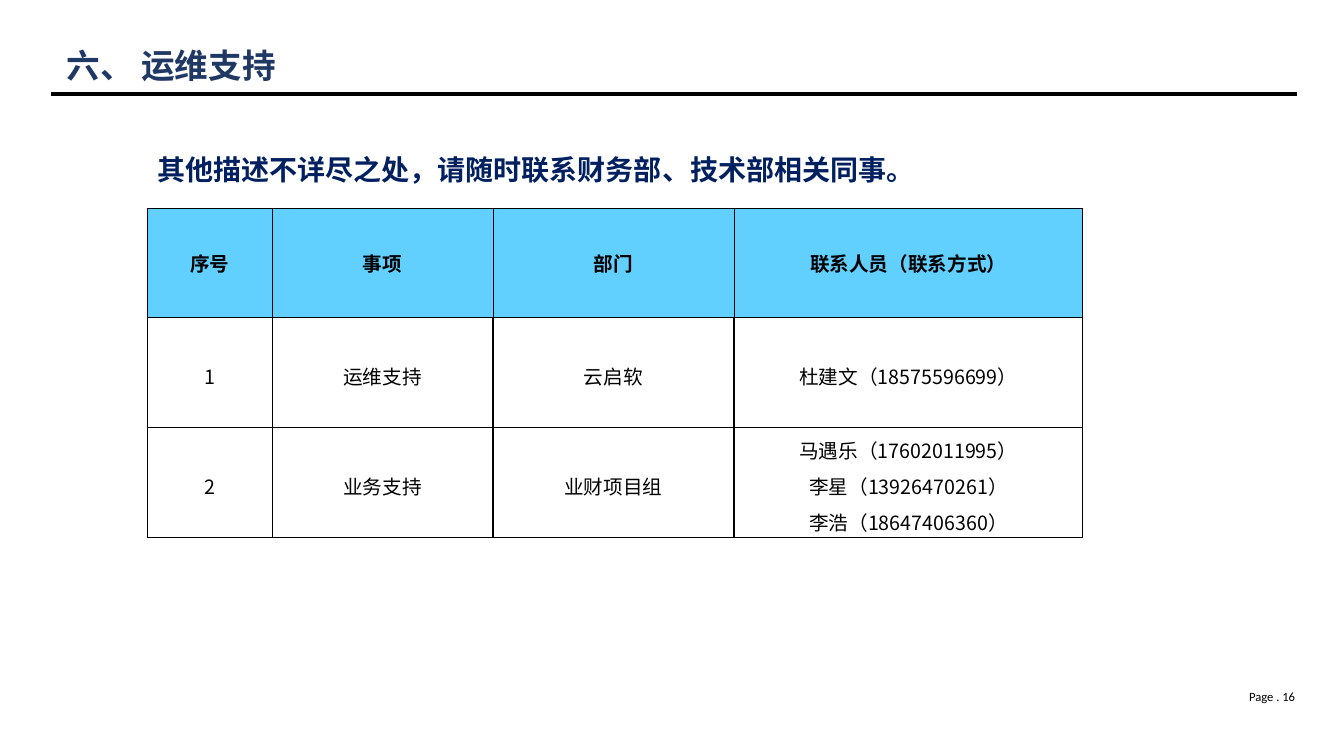
"""Build the operations support slide with its contact table."""
from lxml.etree import SubElement
from pptx import Presentation
from pptx.dml.color import RGBColor
from pptx.enum.shapes import MSO_CONNECTOR
from pptx.enum.text import MSO_ANCHOR, MSO_AUTO_SIZE, PP_ALIGN
from pptx.oxml.ns import qn
from pptx.util import Inches, Pt

BLACK = RGBColor(0x00, 0x00, 0x00)
WHITE = RGBColor(0xFF, 0xFF, 0xFF)
NAVY = RGBColor(0x00, 0x20, 0x60)
TITLE_BLUE = RGBColor(0x1F, 0x38, 0x64)
HEADER_BLUE = RGBColor(0x61, 0xD0, 0xFF)
CJK_FONT = "Noto Sans CJK SC"


def write(frame, text, size, color=BLACK, font=CJK_FONT, bold=False,
          align=PP_ALIGN.LEFT, spacing=None):
    frame.text = text
    for paragraph in frame.paragraphs:
        paragraph.alignment = align
        if spacing:
            paragraph.line_spacing = spacing
        for run in paragraph.runs:
            run.font.size = Pt(size)
            run.font.bold = bold
            run.font.color.rgb = color
            run.font.name = font
            SubElement(run.font._element, qn("a:ea"), typeface=CJK_FONT)


def draw_border(cell, side, width):
    line = SubElement(cell._tc.get_or_add_tcPr(), qn(f"a:ln{side}"), w=str(Pt(width)))
    fill = SubElement(line, qn("a:solidFill"))
    SubElement(fill, qn("a:srgbClr"), val=str(BLACK))


deck = Presentation()
deck.slide_width, deck.slide_height = Inches(13.33), Inches(7.5)
slide = deck.slides.add_slide(deck.slide_layouts[5])

heading = slide.shapes.title
heading.left, heading.top = Inches(0.56), Inches(0.4)
heading.width, heading.height = Inches(5.28), Inches(0.5)
heading.text_frame.auto_size = MSO_AUTO_SIZE.NONE
heading.text_frame.vertical_anchor = MSO_ANCHOR.MIDDLE
write(heading.text_frame, "六、 运维支持", 24, TITLE_BLUE, "Arial", bold=True)

title_rule = slide.shapes.add_connector(
    MSO_CONNECTOR.STRAIGHT, Inches(0.51), Inches(0.93), Inches(12.86), Inches(0.93))
title_rule.line.color.rgb = BLACK
title_rule.line.width = Pt(2.75)
SubElement(title_rule._element.spPr, qn("a:effectLst"))

contact_note = slide.shapes.add_textbox(
    Inches(1.46), Inches(1.46), Inches(9.06), Inches(0.44))
contact_note.text_frame.word_wrap = True
write(contact_note.text_frame, "其他描述不详尽之处，请随时联系财务部、技术部相关同事。",
      20, NAVY, "Calibri", bold=True)

page_number = slide.shapes.add_textbox(
    Inches(12.29), Inches(6.79), Inches(0.7), Inches(0.4))
page_number.text_frame.word_wrap = True
write(page_number.text_frame, "Page . 16", 9, font="Calibri")

contacts = [
    ["序号", "事项", "部门", "联系人员（联系方式）"],
    ["1", "运维支持", "云启软", "杜建文（18575596699）"],
    ["2", "业务支持", "业财项目组",
     "马遇乐（17602011995）\n李星（13926470261）\n李浩（18647406360）"],
]
contact_table = slide.shapes.add_table(
    3, 4, Inches(1.46), Inches(2.07), Inches(9.28), Inches(3.26)).table
contact_table.first_row = False
contact_table.horz_banding = False
for column, width in zip(contact_table.columns, [1.24, 2.19, 2.39, 3.46]):
    column.width = Inches(width)
for row, height in zip(contact_table.rows, [1.08, 1.09, 1.09]):
    row.height = Inches(height)

for row_index, entries in enumerate(contacts):
    is_header = row_index == 0
    side_margin, end_margin = (0.13, 0.05) if is_header else (0, 0)
    for column_index, entry in enumerate(entries):
        cell = contact_table.cell(row_index, column_index)
        cell.margin_left = cell.margin_right = Inches(side_margin)
        cell.margin_top = cell.margin_bottom = Inches(end_margin)
        cell.vertical_anchor = MSO_ANCHOR.MIDDLE
        for side in "LRTB":
            thin = is_header and side != "B"
            draw_border(cell, side, 0.5 if thin else 1)
        cell.fill.solid()
        cell.fill.fore_color.rgb = HEADER_BLUE if is_header else WHITE
        write(cell.text_frame, entry, 14, bold=is_header, align=PP_ALIGN.CENTER,
              spacing=None if is_header else 1.25)

deck.save("out.pptx")
